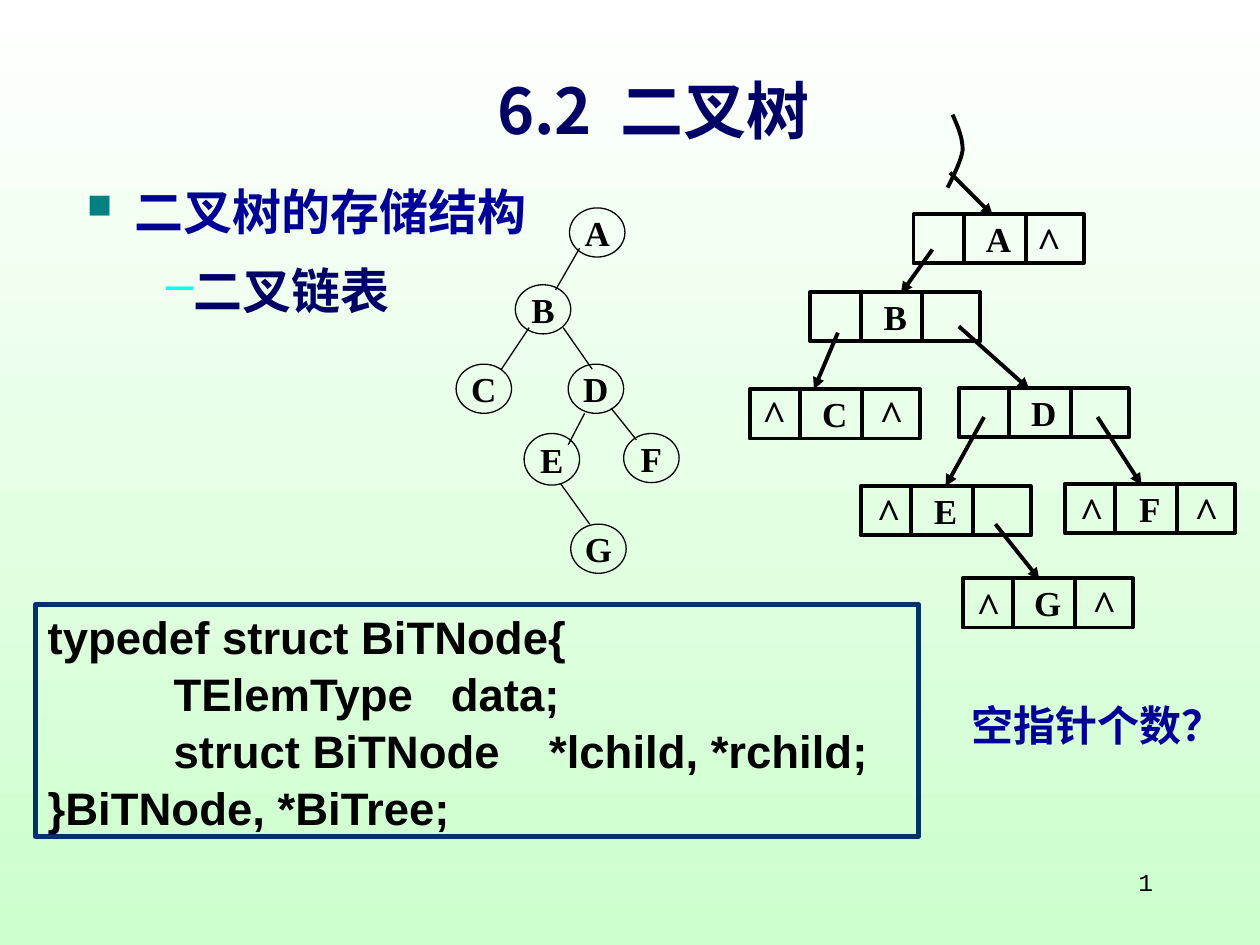
from lxml import etree
from pptx import Presentation
from pptx import util as u
from pptx.dml.color import RGBColor
from pptx.enum import shapes, text
from pptx.oxml.ns import qn

PX = 9144
BLACK = RGBColor(0x00, 0x00, 0x00)
WHITE = RGBColor(0xFF, 0xFF, 0xFF)
MINT = RGBColor(0xCC, 0xFF, 0xCC)
NAVY = RGBColor(0x00, 0x00, 0x66)
BLUE = RGBColor(0x00, 0x00, 0x99)
STEEL = RGBColor(0x00, 0x33, 0x66)
TEAL = RGBColor(0x00, 0x80, 0x80)
CYAN = RGBColor(0x00, 0xFF, 0xFF)
SERIF = "Times New Roman"
SANS = "Noto Sans CJK SC"
LEFT, CENTER, RIGHT = text.PP_ALIGN.LEFT, text.PP_ALIGN.CENTER, text.PP_ALIGN.RIGHT
TOP, MIDDLE = text.MSO_ANCHOR.TOP, text.MSO_ANCHOR.MIDDLE

deck = Presentation()
deck.slide_width, deck.slide_height = 1000 * PX, 750 * PX
slide = deck.slides.add_slide(deck.slide_layouts[6])
canvas = slide.shapes

backdrop = slide.background.fill
backdrop.gradient()
backdrop.gradient_angle = 270
for stop, color, position in zip(backdrop.gradient_stops, (WHITE, MINT), (0, 1)):
    stop.color.rgb = color
    stop.position = position


def write(shape, lines, size, font, color, align=LEFT, anchor=TOP, bold=True, wrap=True):
    frame = shape.text_frame
    frame.word_wrap = wrap
    frame.vertical_anchor = anchor
    for i, line in enumerate(lines):
        paragraph = frame.paragraphs[0] if i == 0 else frame.add_paragraph()
        paragraph.alignment = align
        run = paragraph.add_run()
        run.text = line
        run.font.size = u.Pt(size)
        run.font.name = font
        run.font.bold = bold
        run.font.color.rgb = color
    return frame.paragraphs


def draw_line(x1, y1, x2, y2, width, arrow=False):
    line = canvas.add_connector(shapes.MSO_CONNECTOR.STRAIGHT, x1 * PX, y1 * PX, x2 * PX, y2 * PX)
    line.line.color.rgb = BLACK
    line.line.width = u.Pt(width)
    if arrow:
        etree.SubElement(line.line._get_or_add_ln(), qn("a:tailEnd"), type="triangle")
    etree.SubElement(line._element.spPr, qn("a:effectLst"))
    return line


page_number = canvas.add_textbox(717 * PX, 683 * PX, 208 * PX, 50 * PX)
write(page_number, ["1"], 14, "Courier New", BLACK, RIGHT, bold=False)

topics = [
    (122, 202, 567, 57, "二叉链表", SERIF, NAVY, "–", CYAN, 100, 0),
    (59, 139, 832, 80, "二叉树的存储结构", SANS, BLUE, "■", TEAL, 70, 38),
]
for x, y, w, h, topic, font, color, bullet, bullet_color, percent, indent in topics:
    box = canvas.add_textbox(x * PX, y * PX, w * PX, h * PX)
    paragraph = write(box, [topic], 28, font, color)[0]
    paragraph.space_before = u.Pt(7)
    props = paragraph._p.get_or_add_pPr()
    props.set("marL", str(indent * PX))
    props.set("indent", str(-indent * PX))
    tint = etree.SubElement(props, qn("a:buClr"))
    etree.SubElement(tint, qn("a:srgbClr"), val=str(bullet_color))
    etree.SubElement(props, qn("a:buSzPct"), val=str(percent * 1000))
    etree.SubElement(props, qn("a:buChar"), char=bullet)

title = canvas.add_textbox(106 * PX, 52 * PX, 825 * PX, 83 * PX)
write(title, ["6.2  二叉树"], 36, SANS, NAVY, CENTER)

code = canvas.add_shape(shapes.MSO_SHAPE.RECTANGLE, 28 * PX, 480 * PX, 701 * PX, 184 * PX)
code.shadow.inherit = False
code.fill.background()
code.line.color.rgb = STEEL
code.line.width = u.Pt(2.75)
code_lines = [
    "typedef struct BiTNode{",
    "\tTElemType\tdata;",
    "\tstruct BiTNode\t*lchild, *rchild;",
    "}BiTNode, *BiTree;",
]
code_paragraphs = write(code, code_lines, 26, "Arial", BLACK, anchor=MIDDLE)
for paragraph in code_paragraphs:
    paragraph.line_spacing = 1.04
for paragraph, second_stop in zip(code_paragraphs[1:3], (320, 398)):
    stops = etree.SubElement(paragraph._p.get_or_add_pPr(), qn("a:tabLst"))
    for position in (100, second_stop):
        etree.SubElement(stops, qn("a:tab"), pos=str(position * PX), algn="l")

tree_nodes = {
    "A": (452, 165, 39), "B": (409, 226, 39), "C": (362, 289, 39), "D": (451, 289, 39),
    "E": (416, 344, 41), "F": (495, 344, 39), "G": (453, 416, 39),
}
for letter, (x, y, h) in tree_nodes.items():
    node = canvas.add_shape(shapes.MSO_SHAPE.OVAL, x * PX, y * PX, 44 * PX, h * PX)
    node.shadow.inherit = False
    node.fill.background()
    node.line.color.rgb = BLACK
    node.line.width = u.Pt(0.75)
    write(node, [letter], 20, SERIF, BLACK, CENTER, MIDDLE, wrap=False)

tree_edges = [
    (460, 197, 441, 230), (420, 260, 398, 293), (447, 260, 470, 293),
    (464, 328, 451, 353), (485, 324, 505, 349), (445, 384, 468, 416),
]
for edge in tree_edges:
    draw_line(*edge, 0.75)

CELL_W, CELL_H = 135, 39
records = {
    "A": (725, 170), "B": (643, 232), "C": (595, 309), "D": (761, 308),
    "E": (683, 386), "F": (845, 384), "G": (764, 459),
}
record_boxes = {}
for letter, (x, y) in records.items():
    record = canvas.add_shape(shapes.MSO_SHAPE.RECTANGLE, x * PX, y * PX, CELL_W * PX, CELL_H * PX)
    record.shadow.inherit = False
    record.fill.background()
    record.line.color.rgb = BLACK
    record.line.width = u.Pt(2.25)
    write(record, [letter], 20, SERIF, BLACK, CENTER, MIDDLE, wrap=False)
    record_boxes[letter] = record
    for divider in (40, 89):
        draw_line(x + divider, y, x + divider, y + CELL_H, 2.25)

pointers = {
    "A": (754, 137, 788, 171), "B": (740, 198, 715, 233), "C": (665, 264, 646, 309),
    "D": (761, 259, 817, 309), "E": (781, 331, 750, 385), "F": (871, 331, 906, 385),
    "G": (790, 416, 825, 460),
}
for child, ends in pointers.items():
    pointer = draw_line(*ends, 2.25, arrow=True)
    if abs(ends[2] - records[child][0] - CELL_W / 2) < 1:
        pointer.end_connect(record_boxes[child], 0)

root_curve = [
    ((756, 91), (760, 100), (764, 109), (764, 119)),
    ((764, 119), (763, 128), (754, 145), (752, 149)),
]
STEPS = 10
curve_points = []
for bend in root_curve:
    for step in range(1, STEPS + 1):
        t = step / STEPS
        weights = ((1 - t) ** 3, 3 * t * (1 - t) ** 2, 3 * t * t * (1 - t), t ** 3)
        curve_points.append(tuple(
            round(PX * sum(k * point[axis] for k, point in zip(weights, bend))) for axis in (0, 1)))
builder = canvas.build_freeform(756 * PX, 91 * PX)
builder.add_line_segments(curve_points, close=False)
root = builder.convert_to_shape()
root.shadow.inherit = False
root.fill.background()
root.line.color.rgb = BLACK
root.line.width = u.Pt(2.25)

null_marks = [
    (813, 166), (595, 303), (688, 303), (686, 381),
    (847, 380), (938, 380), (765, 456), (857, 454),
]
for x, y in null_marks:
    mark = canvas.add_textbox(x * PX, y * PX, 39 * PX, 50 * PX)
    write(mark, ["^"], 24, SERIF, BLACK, CENTER, MIDDLE, wrap=False)

question = canvas.add_textbox(761 * PX, 550 * PX, 238 * PX, 50 * PX)
write(question, ["空指针个数？"], 24, "Courier New", BLUE)

deck.save("out.pptx")
